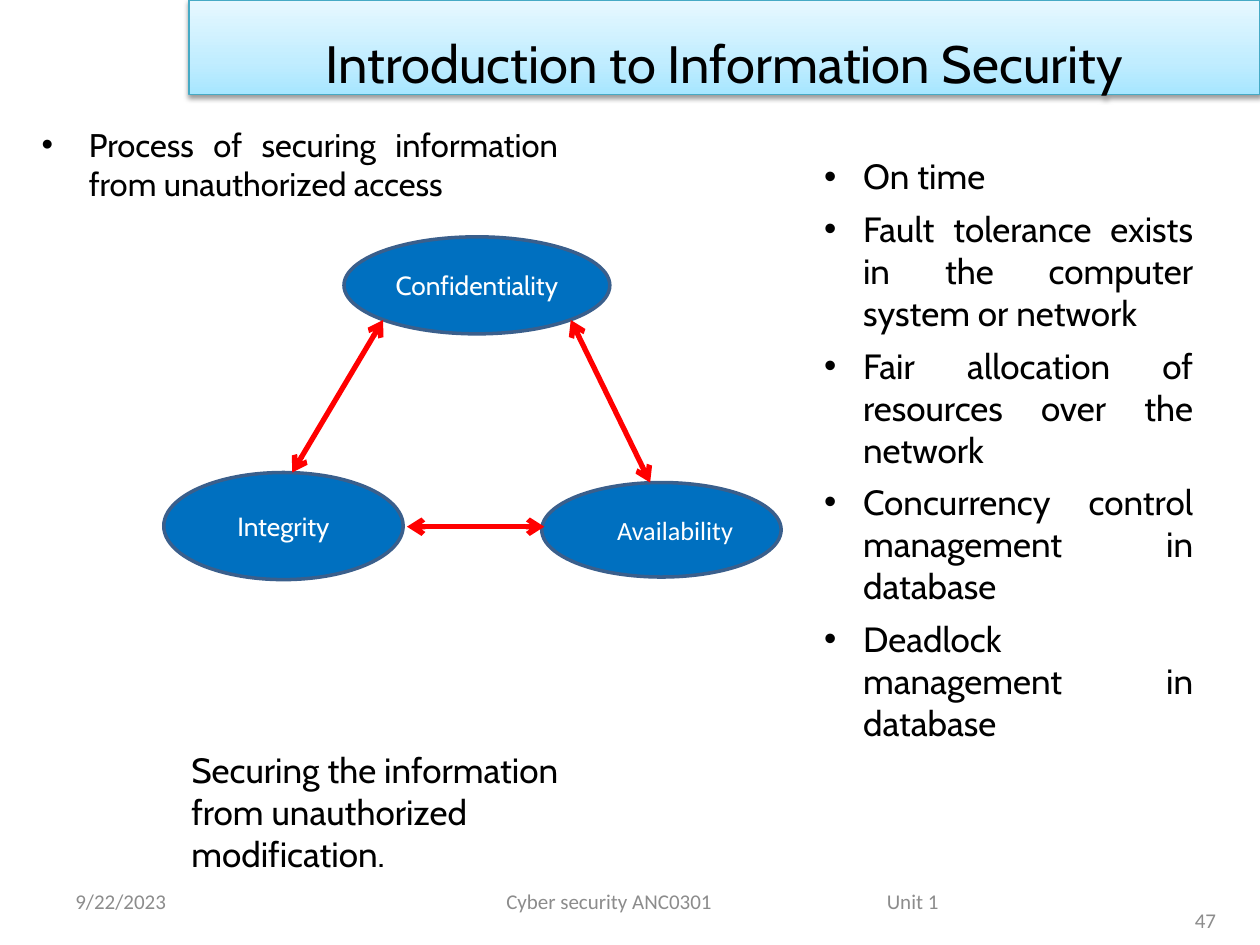
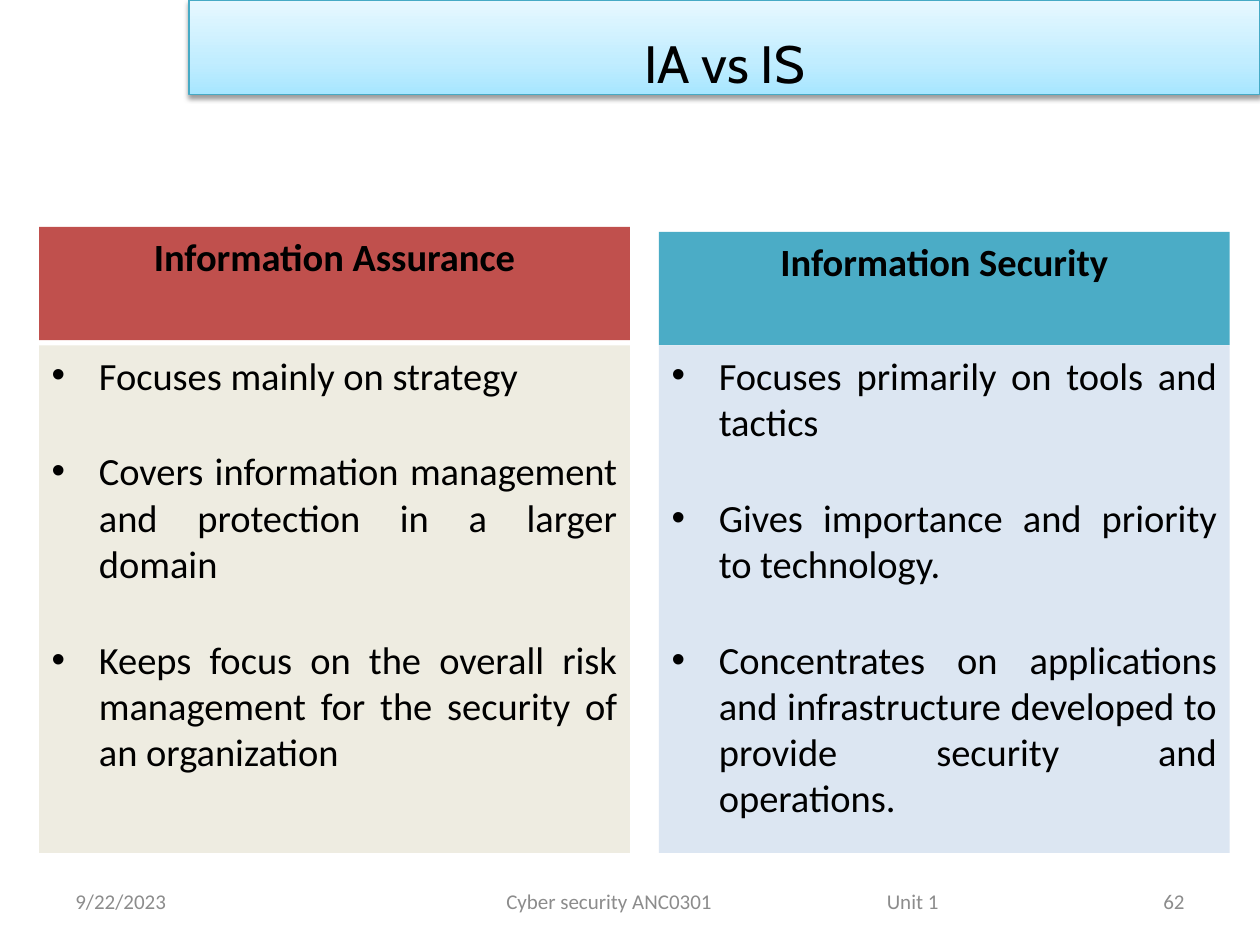
import copy

import lxml.etree
import pptx
import pptx.dml.color
import pptx.enum.shapes
import pptx.enum.text
import pptx.oxml.ns
import pptx.util

COLUMNS, ROWS = 10, 7.5
BLACK, WHITE, GREY = "000000", "FFFFFF", "8C8C8C"
OVAL_BLUE, OVAL_EDGE, ARROW_RED = "0070C0", "3A5F8C", "FF0000"
BAND_EDGE = "46AAC5"
BAND_STOPS = [(0, "A7E6FF"), (0.35, "C1EDFF"), (1, "E7F8FF")]
ALIGN = pptx.enum.text.PP_ALIGN
ANCHOR = pptx.enum.text.MSO_ANCHOR
qn = pptx.oxml.ns.qn

deck = pptx.Presentation()
deck.slide_width = pptx.util.Inches(10)
deck.slide_height = pptx.util.Inches(7.5)
column = deck.slide_width / COLUMNS
row = deck.slide_height / ROWS


def colour(hex_value):
    return pptx.dml.color.RGBColor.from_string(hex_value)


def write(shape, area, lines, size, font="Calibri", ink=BLACK, align=ALIGN.LEFT,
          anchor=ANCHOR.TOP, bold=False, after=None, before=None):
    """Place a shape on the grid (left, top, width, height) and set its text."""
    left, top, width, height = area
    shape.left, shape.width = int(left * column), int(width * column)
    shape.top, shape.height = int(top * row), int(height * row)
    frame = shape.text_frame
    frame.text = "\n".join(lines)
    frame.word_wrap = True
    frame.auto_size = pptx.enum.text.MSO_AUTO_SIZE.NONE
    frame.vertical_anchor = anchor
    for number, paragraph in enumerate(frame.paragraphs):
        paragraph.alignment = align
        if after is not None:
            paragraph.space_after = pptx.util.Pt(after)
        if number == 0 or before is not None:
            paragraph.space_before = pptx.util.Pt(before or 0)
        for run in paragraph.runs:
            run.font.size = pptx.util.Pt(size)
            run.font.name = font
            run.font.bold = bold
            run.font.color.rgb = colour(ink)


# Shared parts: title band and footer
TWO_CONTENT, COMPARISON = deck.slide_layouts[3], deck.slide_layouts[4]
pages = [
    (TWO_CONTENT, "Introduction to Information Security", "47", (7.42, 7.1)),
    (COMPARISON, "IA vs IS", "62", (7.17, 6.95)),
]
for layout, heading, page_number, (number_left, number_top) in pages:
    slide = deck.slides.add_slide(layout)
    band = slide.shapes.title
    write(band, (1.5, 0, 8.5, 0.75), [heading], 30, "Cabin",
          align=ALIGN.CENTER, anchor=ANCHOR.MIDDLE)
    band.text_frame.paragraphs[0].line_spacing = 1.5
    band.fill.gradient()
    band.fill.gradient_angle = 90
    stop_list = band._element.spPr.find(".//" + qn("a:gsLst"))
    stop_list.append(copy.deepcopy(stop_list[-1]))
    for stop, (position, tint) in zip(band.fill.gradient_stops, BAND_STOPS):
        stop.position = position
        stop.color.rgb = colour(tint)
    band.line.color.rgb = colour(BAND_EDGE)
    band.line.width = pptx.util.Pt(0.75)
    band.shadow.inherit = False
    effects = band._element.spPr.find(qn("a:effectLst"))
    shadow = lxml.etree.SubElement(
        effects, qn("a:outerShdw"), blurRad=str(pptx.util.Pt(3.1)),
        dist=str(pptx.util.Pt(1.6)), dir="5400000", rotWithShape="0")
    shade = lxml.etree.SubElement(shadow, qn("a:srgbClr"), val=BLACK)
    lxml.etree.SubElement(shade, qn("a:alpha"), val="38000")

    footer = [
        ("9/22/2023", (0.5, 6.95, 2.33, 0.4), ALIGN.LEFT),
        ("Cyber security ANC0301", (3.92, 6.95, 2.5, 0.4), ALIGN.LEFT),
        ("Unit 1", (6.94, 6.95, 1, 0.4), ALIGN.LEFT),
        (page_number, (number_left, number_top, 2.33, 0.4), ALIGN.RIGHT),
    ]
    for words, area, align in footer:
        write(slide.shapes.add_textbox(0, 0, 0, 0), area, [words], 12,
              ink=GREY, align=align, anchor=ANCHOR.MIDDLE)

introduction, comparison = deck.slides

# Slide 1: the three goals of information security
write(introduction.placeholders[1], (0.23, 0.94, 4.3, 0.7),
      ["Process of securing information from unauthorized access"],
      18.7, "Cabin", align=ALIGN.JUSTIFY)

availability_points = introduction.placeholders[2]
write(availability_points, (6.44, 1.18, 3.13, 4.8), [
    "On time",
    "Fault tolerance exists in the computer system or network",
    "Fair allocation of resources over the network",
    "Concurrency control management in database",
    "Deadlock management in database",
], 20, "Cabin", align=ALIGN.JUSTIFY, after=6, before=0)
for point in availability_points.text_frame.paragraphs:
    properties = point._p.get_or_add_pPr()
    properties.set("marL", str(pptx.util.Inches(0.31)))
    properties.set("indent", str(pptx.util.Inches(-0.31)))

goals = [
    ("Confidentiality", (2.73, 1.88, 2.11, 0.77), "Cabin", ALIGN.CENTER, 0),
    ("Integrity", (1.3, 3.75, 1.9, 0.85), "Cabin", ALIGN.CENTER, 0),
    ("Availability", (4.3, 3.83, 1.9, 0.75), "Calibri", ALIGN.LEFT, 0.32),
]
for goal, area, font, align, inset in goals:
    oval = introduction.shapes.add_shape(
        pptx.enum.shapes.MSO_SHAPE.OVAL, 0, 0, 0, 0)
    write(oval, area, [goal], 15, font, WHITE, align, ANCHOR.MIDDLE)
    oval.text_frame.margin_left = pptx.util.Inches(inset)
    oval.text_frame.margin_right = 0
    oval.fill.solid()
    oval.fill.fore_color.rgb = colour(OVAL_BLUE)
    oval.line.color.rgb = colour(OVAL_EDGE)
    oval.line.width = pptx.util.Pt(2)
    oval.shadow.inherit = False

goal_links = [
    (2.32, 3.75, 3.04, 2.54),
    (3.23, 4.18, 4.32, 4.18),
    (5.16, 3.83, 4.53, 2.54),
]
for start_x, start_y, end_x, end_y in goal_links:
    link = introduction.shapes.add_connector(
        pptx.enum.shapes.MSO_CONNECTOR.STRAIGHT,
        int(start_x * column), int(start_y * row),
        int(end_x * column), int(end_y * row))
    link.line.color.rgb = colour(ARROW_RED)
    link.line.width = pptx.util.Pt(3)
    outline = link._element.spPr.find(qn("a:ln"))
    for arrow_end in ("a:headEnd", "a:tailEnd"):
        lxml.etree.SubElement(outline, qn(arrow_end), type="arrow")
    lxml.etree.SubElement(link._element.spPr, qn("a:effectLst"))

write(introduction.shapes.add_textbox(0, 0, 0, 0), (1.42, 5.89, 3.33, 1.11),
      ["Securing the information from unauthorized modification."], 20, "Cabin")

# Slide 2: assurance beside security
sides = [
    (1, 0.31, 4.69, 1.8, "Information Assurance", "C0504D", "EEECE1", [
        "Focuses mainly on strategy",
        "Covers information management and protection in a larger domain",
        "Keeps focus on the overall risk management for the security of"
        " an organization",
    ]),
    (3, 5.23, 4.53, 1.84, "Information Security", "4BACC6", "DCE6F2", [
        "Focuses primarily on tools and tactics",
        "Gives importance and priority to technology.",
        "Concentrates on applications and infrastructure developed to"
        " provide security and operations.",
    ]),
]
for index, left, width, top, name, head_fill, list_fill, points in sides:
    side_head = comparison.placeholders[index]
    side_list = comparison.placeholders[index + 1]
    write(side_head, (left, top, width, 0.9), [name], 22,
          align=ALIGN.CENTER, bold=True)
    write(side_list, (left, 2.74, width, 4.03), points, 22,
          align=ALIGN.JUSTIFY, after=24)
    for panel, tint in ((side_head, head_fill), (side_list, list_fill)):
        panel.fill.solid()
        panel.fill.fore_color.rgb = colour(tint)

deck.save("out.pptx")
